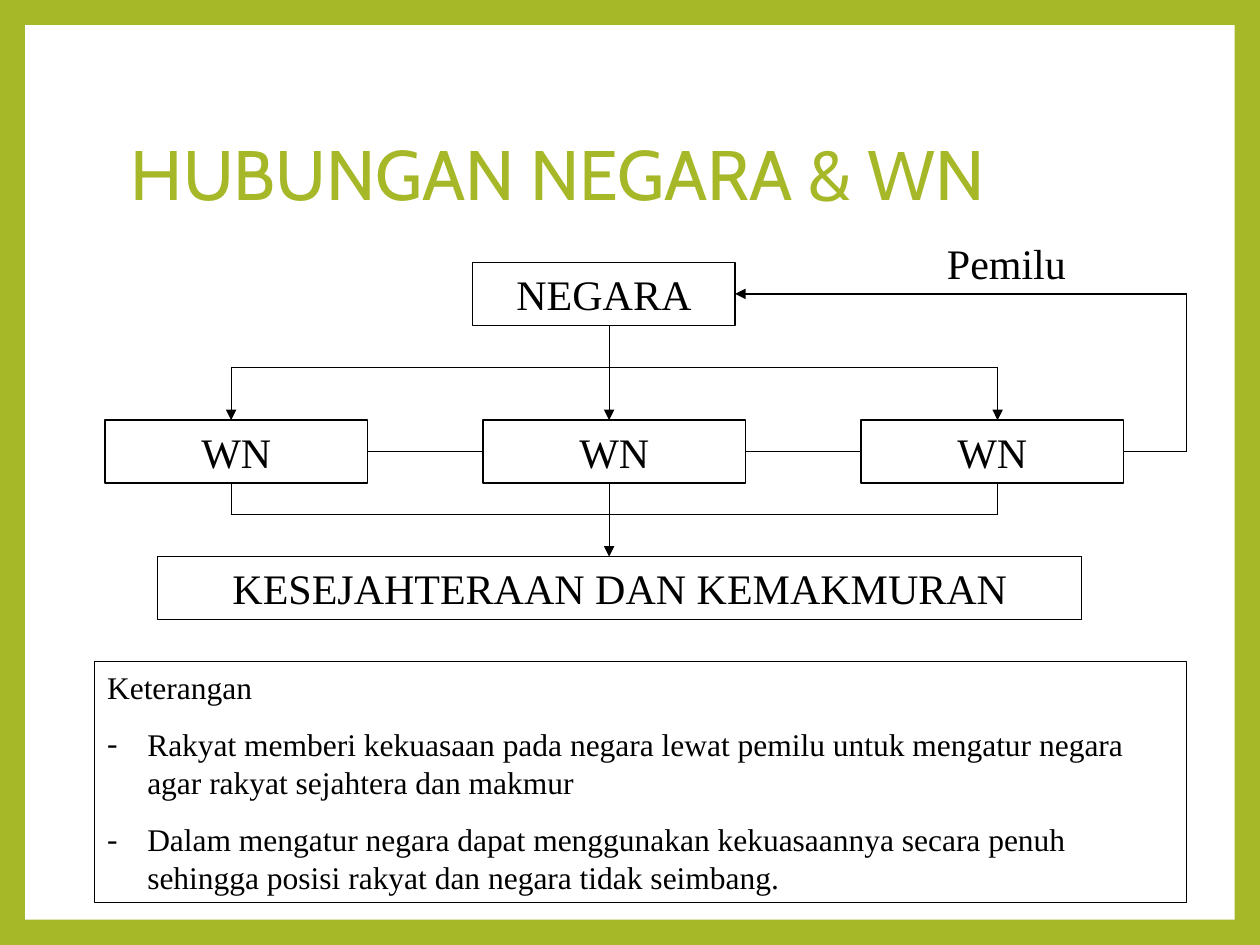
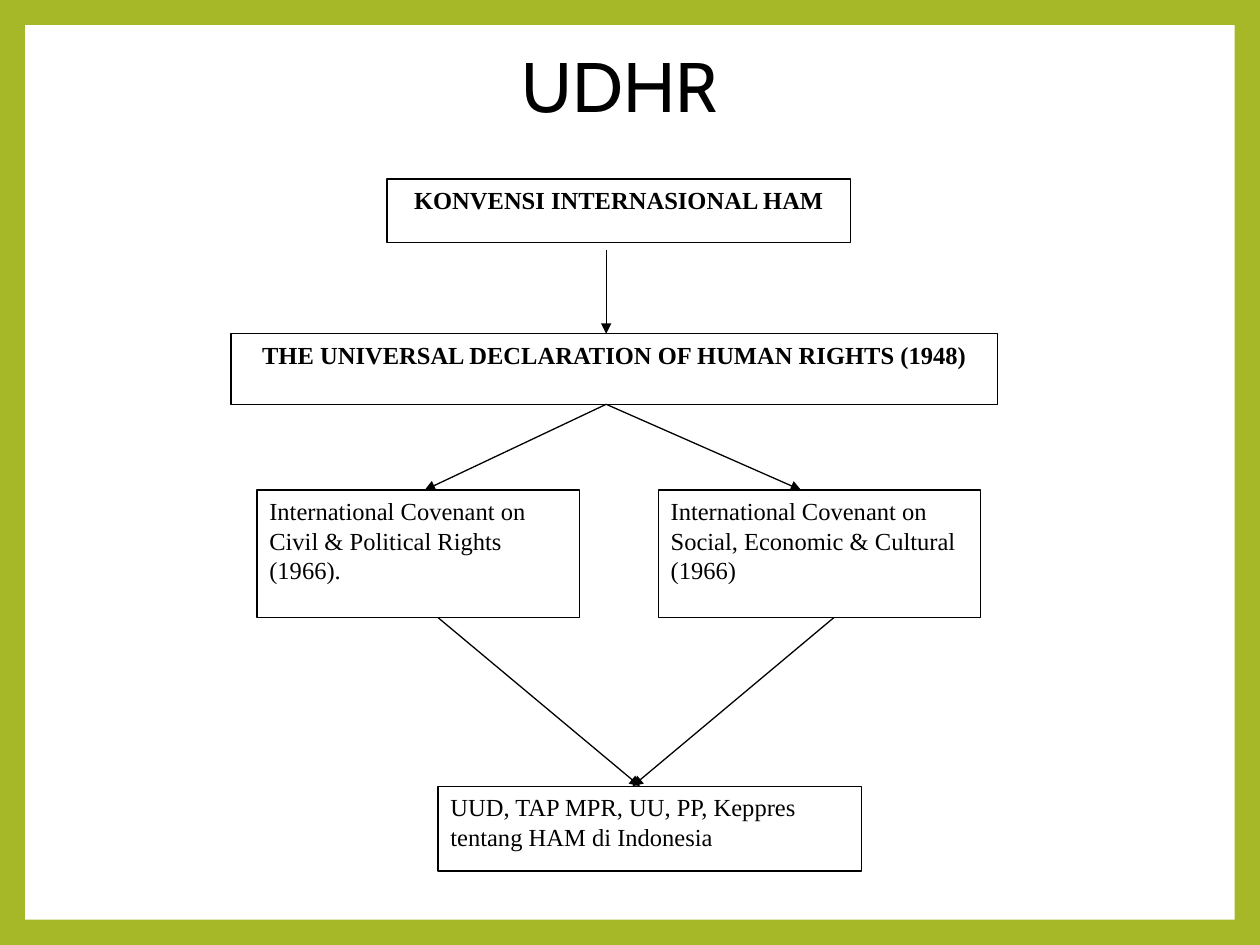
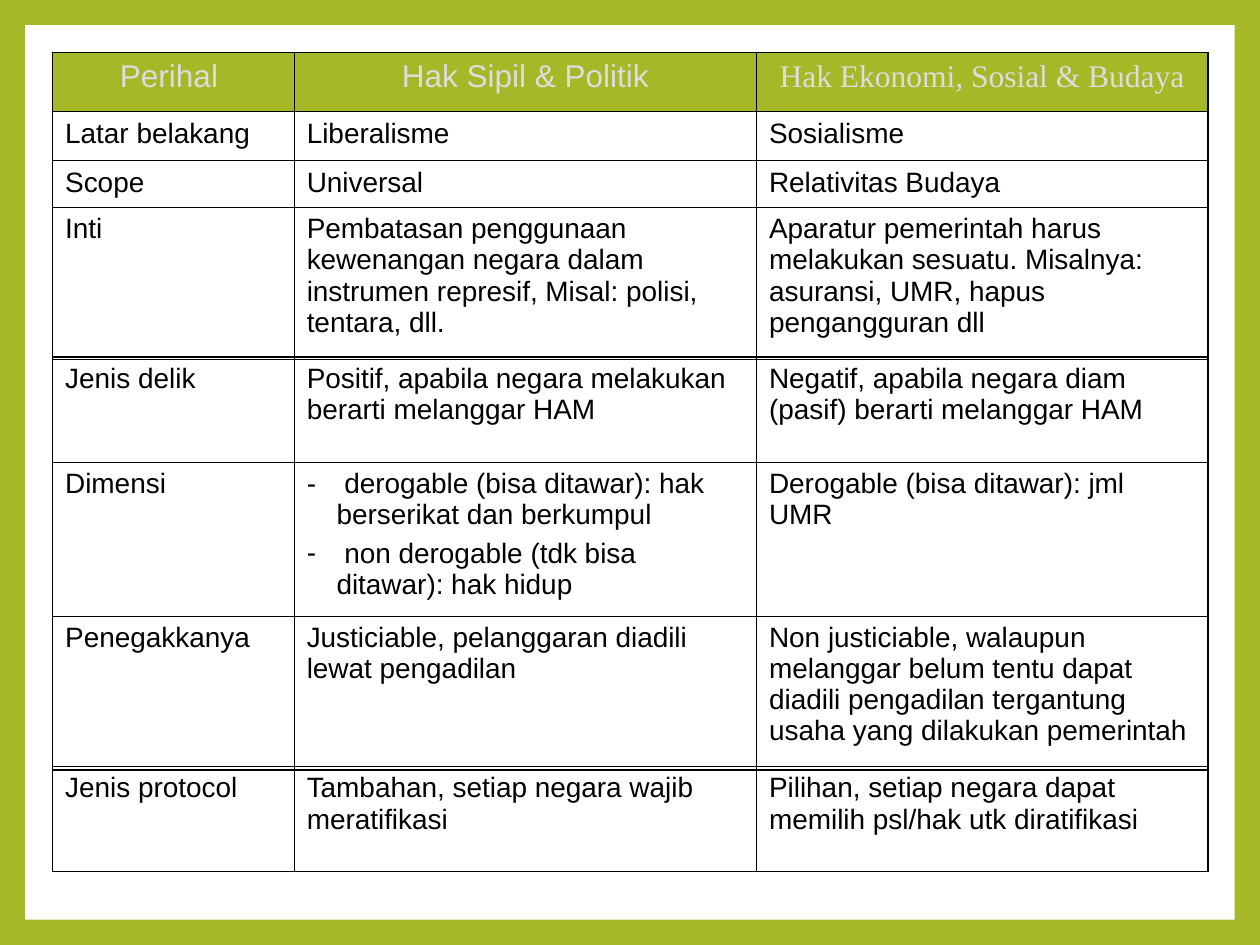
from dataclasses import dataclass
from typing import Any, Optional

import lxml.etree
import pptx
import pptx.dml.color
import pptx.enum.shapes
import pptx.enum.text
import pptx.oxml.ns
import pptx.util

GREEN = "A6B727"
WHITE = "FFFFFF"
BLACK = "000000"
PALE = "DDDDDD"
SERIF = "Times New Roman"
SANS = "Arial"
TITLE_FONT = "Cabin"
LEFT, RIGHT = 1, 3
CENTER = pptx.enum.text.PP_ALIGN.CENTER
THIN, THICK = 0.45, 1.08

Cm = pptx.util.Cm
Pt = pptx.util.Pt


@dataclass(frozen=True)
class Style:
    size: float
    font: str = SERIF
    color: str = BLACK
    bold: bool = False
    centered: bool = False
    space_before: float = 0
    line_spacing: Optional[float] = None
    hanging: float = 0


@dataclass(frozen=True)
class Area:
    left: float
    top: float
    width: float
    height: float

    def lengths(self) -> list[int]:
        return [Cm(v) for v in (self.left, self.top, self.width, self.height)]


@dataclass(frozen=True)
class Box:
    area: Area
    lines: tuple[str, ...]
    style: Style
    fill: Optional[str] = None


@dataclass(frozen=True)
class Link:
    x1: float
    y1: float
    x2: float
    y2: float
    arrow: bool = False
    begin: Any = None
    end: Any = None


@dataclass(frozen=True)
class Grid:
    top: float
    row_heights: tuple[float, ...]
    rows: tuple[tuple[str, str, str], ...]
    has_header: bool = False


def rgb(color: str) -> pptx.dml.color.RGBColor:
    return pptx.dml.color.RGBColor.from_string(color)


def add_xml(parent: Any, tag: str, **attributes: str) -> Any:
    return lxml.etree.SubElement(parent, pptx.oxml.ns.qn(tag), attributes)


def write(frame: Any, lines: tuple[str, ...], style: Style) -> None:
    for index, line in enumerate(lines):
        paragraph = frame.add_paragraph() if index else frame.paragraphs[0]
        paragraph.text = line.removeprefix("-")
        if style.hanging:
            properties = paragraph._p.get_or_add_pPr()
            properties.set("marL", str(Cm(style.hanging)))
            properties.set("indent", str(-Cm(style.hanging)))
            if line.startswith("-"):
                add_xml(add_xml(properties, "a:buClr"), "a:srgbClr", val=BLACK)
                add_xml(properties, "a:buFont", typeface=style.font)
                add_xml(properties, "a:buChar", char="-")
        paragraph.alignment = CENTER if style.centered else pptx.enum.text.PP_ALIGN.LEFT
        if index:
            paragraph.space_before = Pt(style.space_before)
        if style.line_spacing:
            paragraph.line_spacing = style.line_spacing
        font = paragraph.font
        font.name = style.font
        font.size = Pt(style.size)
        font.bold = style.bold
        font.color.rgb = rgb(style.color)


def add_label(slide: Any, area: Area, text: str, style: Style, middle: bool = False) -> None:
    frame = slide.shapes.add_textbox(*area.lengths()).text_frame
    frame.word_wrap = True
    if middle:
        frame.vertical_anchor = pptx.enum.text.MSO_ANCHOR.MIDDLE
    write(frame, (text,), style)


def add_title(slide: Any, area: Area, text: str, color: str, centered: bool) -> None:
    style = Style(40, TITLE_FONT, color, centered=centered, line_spacing=0.9)
    add_label(slide, area, text, style, middle=True)


def add_rectangle(slide: Any, area: Area, fill: Optional[str]) -> Any:
    rectangle = slide.shapes.add_shape(
        pptx.enum.shapes.MSO_SHAPE.RECTANGLE, *area.lengths())
    rectangle.shadow.inherit = False
    if fill:
        rectangle.fill.solid()
        rectangle.fill.fore_color.rgb = rgb(fill)
    else:
        rectangle.fill.background()
    return rectangle


def add_box(slide: Any, box: Box) -> Any:
    rectangle = add_rectangle(slide, box.area, box.fill)
    rectangle.line.color.rgb = rgb(BLACK)
    rectangle.line.width = Pt(0.75)
    frame = rectangle.text_frame
    frame.word_wrap = True
    frame.vertical_anchor = pptx.enum.text.MSO_ANCHOR.TOP
    write(frame, box.lines, box.style)
    return rectangle


def add_link(slide: Any, link: Link) -> None:
    connector = slide.shapes.add_connector(
        pptx.enum.shapes.MSO_CONNECTOR.STRAIGHT,
        Cm(link.x1), Cm(link.y1), Cm(link.x2), Cm(link.y2))
    if link.begin:
        connector.begin_connect(*link.begin)
    if link.end:
        connector.end_connect(*link.end)
    connector.line.color.rgb = rgb(BLACK)
    connector.line.width = Pt(0.75)
    properties = connector._element.spPr
    if link.arrow:
        add_xml(properties.find(pptx.oxml.ns.qn("a:ln")), "a:tailEnd", type="triangle")
    add_xml(properties, "a:effectLst")


def set_borders(cell: Any, outer_sides: dict[str, bool]) -> None:
    properties = cell._tc.get_or_add_tcPr()
    for side, outer in outer_sides.items():
        border = add_xml(properties, f"a:ln{side}", w=str(Pt(THICK if outer else THIN)))
        add_xml(add_xml(border, "a:solidFill"), "a:srgbClr", val=BLACK)


def add_grid(slide: Any, grid: Grid) -> None:
    column_widths = (4.87, 9.32, 9.1)
    area = Area(1.06, grid.top, sum(column_widths), sum(grid.row_heights))
    table = slide.shapes.add_table(
        len(grid.rows), len(column_widths), *area.lengths()).table
    table.first_row = grid.has_header
    table.horz_banding = False
    for column, width in zip(table.columns, column_widths):
        column.width = Cm(width)
    for row, height in zip(table.rows, grid.row_heights):
        row.height = Cm(height)
    last_row, last_column = len(grid.rows) - 1, len(column_widths) - 1
    for r, texts in enumerate(grid.rows):
        header = grid.has_header and r == 0
        for c, text in enumerate(texts):
            cell = table.cell(r, c)
            set_borders(cell, {"L": c == 0, "R": c == last_column,
                               "T": r == 0, "B": r == last_row})
            if header:
                cell.fill.solid()
                cell.fill.fore_color.rgb = rgb(GREEN)
                font = SERIF if c == last_column else SANS
                style = Style(18, font, PALE, centered=True)
            else:
                cell.fill.background()
                hanging = 0.6 if text.startswith("-") else 0
                style = Style(16, SANS, space_before=4, hanging=hanging)
            write(cell.text_frame, tuple(text.split("\n")), style)


def new_slide(deck: Any) -> Any:
    slide = deck.slides.add_slide(deck.slide_layouts[6])
    panel = add_rectangle(slide, Area(0.51, 0.51, 24.38, 18.03), WHITE)
    panel.line.fill.background()
    return slide


def build_state_and_citizens(deck: Any) -> None:
    slide = new_slide(deck)
    add_title(slide, Area(2.39, 1.7, 20.57, 3.76), "HUBUNGAN NEGARA & WN", GREEN, False)
    role = Style(24, centered=True)
    width, height = 5.29, 1.27
    state_top, citizen_top, welfare_top = 5.29, 8.47, 11.22
    state = add_box(slide, Box(Area(9.53, state_top, width, height), ("NEGARA",), role))
    citizens = [
        add_box(slide, Box(Area(2.12 + 7.62 * i, citizen_top, width, height), ("WN",), role))
        for i in range(3)
    ]
    add_box(slide, Box(Area(3.18, welfare_top, 18.63, height),
                       ("KESEJAHTERAAN DAN KEMAKMURAN",), role))

    left_x, middle_x, right_x, loop_x = 4.66, 12.28, 20.11, 23.92
    branch_y, merge_y = 7.41, 10.37
    state_y = state_top + height / 2
    citizen_y = citizen_top + height / 2
    citizen_bottom = citizen_top + height
    links = [
        Link(middle_x, state_top + height, middle_x, citizen_top, True),
        Link(left_x, branch_y, right_x, branch_y),
        Link(middle_x, citizen_bottom, middle_x, welfare_top, True),
        Link(left_x, merge_y, right_x, merge_y),
        Link(22.65, citizen_y, loop_x, citizen_y, begin=(citizens[2], RIGHT)),
        Link(loop_x, citizen_y, loop_x, state_y),
        Link(loop_x, state_y, 14.82, state_y, True, end=(state, RIGHT)),
    ]
    for x in (left_x, right_x):
        links.append(Link(x, branch_y, x, citizen_top, True))
        links.append(Link(x, citizen_bottom, x, merge_y))
    for before, after in zip(citizens, citizens[1:]):
        links.append(Link(0, citizen_y, 0, citizen_y,
                          begin=(before, RIGHT), end=(after, LEFT)))
    for link in links:
        add_link(slide, link)

    add_label(slide, Area(18.84, 4.66, 4.23, 1.27), "Pemilu", Style(24))
    add_box(slide, Box(Area(1.91, 13.34, 22.01, 4.86), (
        "Keterangan",
        "-Rakyat memberi kekuasaan pada negara lewat pemilu untuk mengatur negara "
        "agar rakyat sejahtera dan makmur",
        "-Dalam mengatur negara dapat menggunakan kekuasaannya secara penuh "
        "sehingga posisi rakyat dan negara tidak seimbang.",
    ), Style(18, space_before=11.2, hanging=0.81)))


def build_udhr(deck: Any) -> None:
    slide = new_slide(deck)
    add_title(slide, Area(1.7, 0.76, 21.59, 2.12), "UDHR", BLACK, True)
    heading = Style(14, bold=True, centered=True)
    body = Style(14)
    covenant_top, covenant_width, covenant_height = 9.88, 6.5, 2.57
    boxes = (
        Box(Area(7.8, 3.61, 9.35, 1.28), ("KONVENSI INTERNASIONAL HAM",), heading, WHITE),
        Box(Area(4.66, 6.73, 15.45, 1.42),
            ("THE UNIVERSAL DECLARATION OF HUMAN RIGHTS (1948)",), heading, WHITE),
        Box(Area(5.18, covenant_top, covenant_width, covenant_height),
            ("International Covenant on Civil & Political Rights (1966).",), body, WHITE),
        Box(Area(13.27, covenant_top, covenant_width, covenant_height),
            ("International Covenant on Social, Economic & Cultural (1966)",), body, WHITE),
        Box(Area(8.83, 15.85, 8.54, 1.71),
            ("UUD, TAP MPR, UU, PP, Keppres tentang HAM di Indonesia",), body, WHITE),
    )
    for box in boxes:
        add_box(slide, box)
    axis_x = 12.22
    covenant_bottom = covenant_top + covenant_height
    add_link(slide, Link(axis_x, 5.03, axis_x, 6.73, True))
    for covenant_x in (8.56, 16.15):
        add_link(slide, Link(axis_x, 8.15, covenant_x, covenant_top, True))
    for covenant_x, law_x in ((8.83, 12.9), (16.81, 12.75)):
        add_link(slide, Link(covenant_x, covenant_bottom, law_x, 15.85, True))


def build_rights_comparison(deck: Any) -> None:
    slide = new_slide(deck)
    grids = (
        Grid(1.06, (1.19, 0.99, 0.94, 3.07), (
            ("Perihal ", "Hak Sipil & Politik", "Hak Ekonomi, Sosial & Budaya"),
            ("Latar belakang", "Liberalisme", "Sosialisme"),
            ("Scope", "Universal", "Relativitas Budaya"),
            ("Inti",
             "Pembatasan penggunaan kewenangan negara dalam instrumen represif, "
             "Misal: polisi, tentara, dll.",
             "Aparatur pemerintah harus melakukan sesuatu. Misalnya: asuransi, UMR, "
             "hapus pengangguran dll"),
        ), has_header=True),
        Grid(7.2, (2.12, 3.1, 3.1), (
            ("Jenis delik",
             "Positif, apabila negara melakukan berarti melanggar HAM",
             "Negatif, apabila negara diam (pasif) berarti melanggar HAM"),
            ("Dimensi",
             "- derogable (bisa ditawar): hak berserikat dan berkumpul\n"
             "- non derogable (tdk bisa ditawar): hak hidup",
             "Derogable (bisa ditawar): jml UMR"),
            ("Penegakkanya",
             "Justiciable, pelanggaran diadili lewat pengadilan",
             "Non justiciable, walaupun melanggar belum tentu dapat diadili pengadilan "
             "tergantung usaha yang dilakukan pemerintah"),
        )),
        Grid(15.45, (2.12,), (
            ("Jenis protocol",
             "Tambahan, setiap negara wajib meratifikasi",
             "Pilihan, setiap negara dapat memilih psl/hak utk diratifikasi"),
        )),
    )
    for grid in grids:
        add_grid(slide, grid)


def main() -> None:
    deck = pptx.Presentation()
    deck.slide_width = Cm(25.4)
    deck.slide_height = Cm(19.05)
    background = deck.slide_master.background.fill
    background.solid()
    background.fore_color.rgb = rgb(GREEN)
    build_state_and_citizens(deck)
    build_udhr(deck)
    build_rights_comparison(deck)
    deck.save("out.pptx")


if __name__ == "__main__":
    main()
